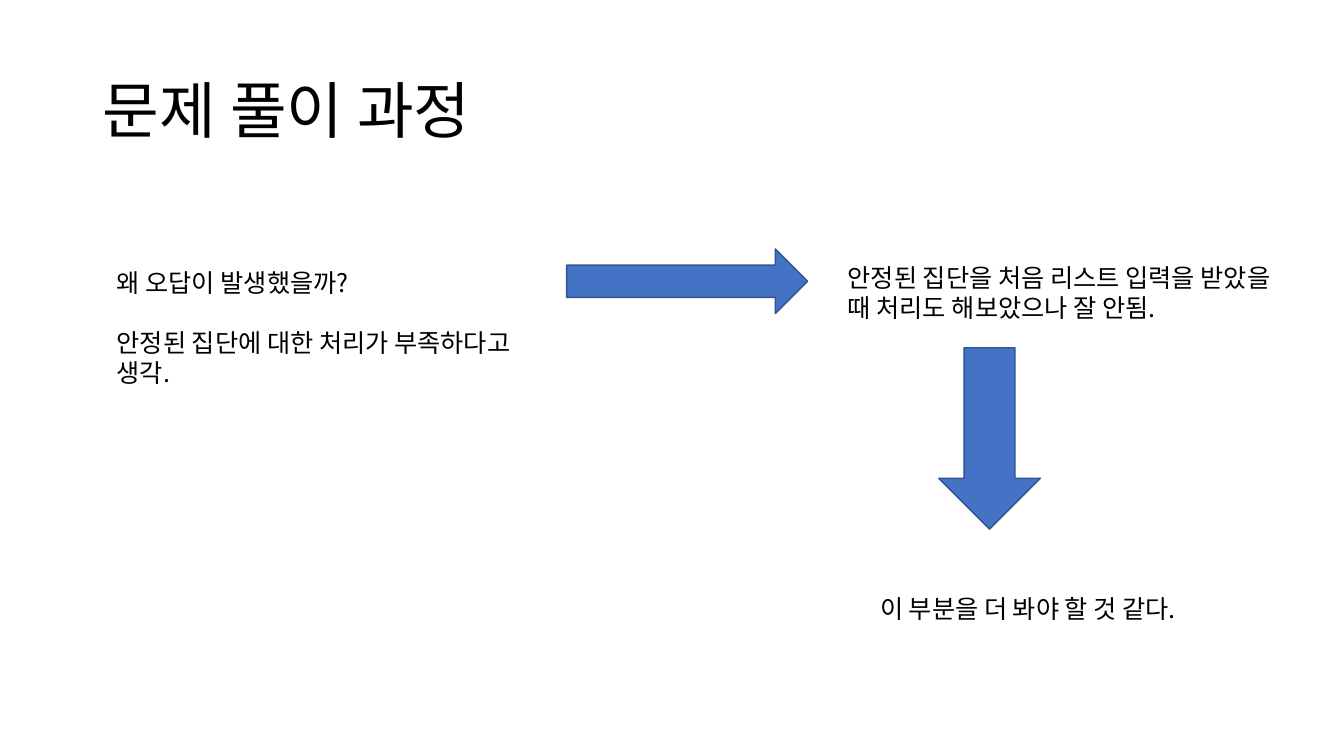
from pptx import Presentation
from pptx.dml.color import RGBColor
from pptx.enum.shapes import MSO_SHAPE as Shape
from pptx.enum.text import MSO_ANCHOR as Anchor, PP_ALIGN as Align
from pptx.oxml.ns import qn
from pptx.util import Inches, Pt

FONT = "Noto Sans CJK KR"
BLACK, BLUE, DARK_BLUE = "000000", "4472C4", "325491"


def color(hex_code):
    return RGBColor.from_string(hex_code)


def format_runs(para, size):
    """Set the font for both Latin and Korean characters."""
    para.alignment = Align.LEFT
    for span in para.runs:
        span.font.size = Pt(size)
        span.font.name = FONT
        span.font.color.rgb = color(BLACK)
        east_asian = span.font._element.makeelement(qn("a:ea"), {"typeface": FONT})
        span.font._element.find(qn("a:latin")).addnext(east_asian)


def place_title(page, box, text):
    title = page.shapes.title
    title.left, title.top, title.width, title.height = map(Inches, box)
    frame = title.text_frame
    frame.text = text
    frame.vertical_anchor = Anchor.MIDDLE
    frame.paragraphs[0].line_spacing = 0.9
    format_runs(frame.paragraphs[0], 44)


def add_note(page, box, lines):
    """Add a text box whose paragraphs are one blank line's height apart."""
    frame = page.shapes.add_textbox(*map(Inches, box)).text_frame
    frame.word_wrap = True
    frame.text = "\n".join(lines)
    for index, para in enumerate(frame.paragraphs):
        format_runs(para, 18)
        if index:
            para.space_before = Pt(21.6)


def add_arrow(page, box, kind):
    arrow = page.shapes.add_shape(kind, *map(Inches, box))
    arrow.shadow.inherit = False
    arrow.fill.solid()
    arrow.fill.fore_color.rgb = color(BLUE)
    arrow.line.color.rgb = color(DARK_BLUE)
    arrow.line.width = Pt(1)


def build_process_slide(deck):
    page = deck.slides.add_slide(deck.slide_layouts[5])
    place_title(page, (0.92, 0.4, 11.5, 1.45), "문제 풀이 과정")
    add_note(page, (1.06, 2.6, 4.34, 1.31),
             ["왜 오답이 발생했을까?", "안정된 집단에 대한 처리가 부족하다고 생각."])
    add_arrow(page, (5.62, 2.47, 2.39, 0.64), Shape.RIGHT_ARROW)
    add_note(page, (8.31, 2.55, 4.49, 0.71),
             ["안정된 집단을 처음 리스트 입력을 받았을 때 처리도 해보았으나 잘 안됨."])
    add_arrow(page, (9.31, 3.45, 1.01, 1.8), Shape.DOWN_ARROW)
    add_note(page, (8.63, 5.84, 3.7, 0.4), ["이 부분을 더 봐야 할 것 같다."])


def main():
    deck = Presentation()
    deck.slide_width, deck.slide_height = Inches(13.33), Inches(7.5)
    build_process_slide(deck)
    deck.save("out.pptx")


if __name__ == "__main__":
    main()
